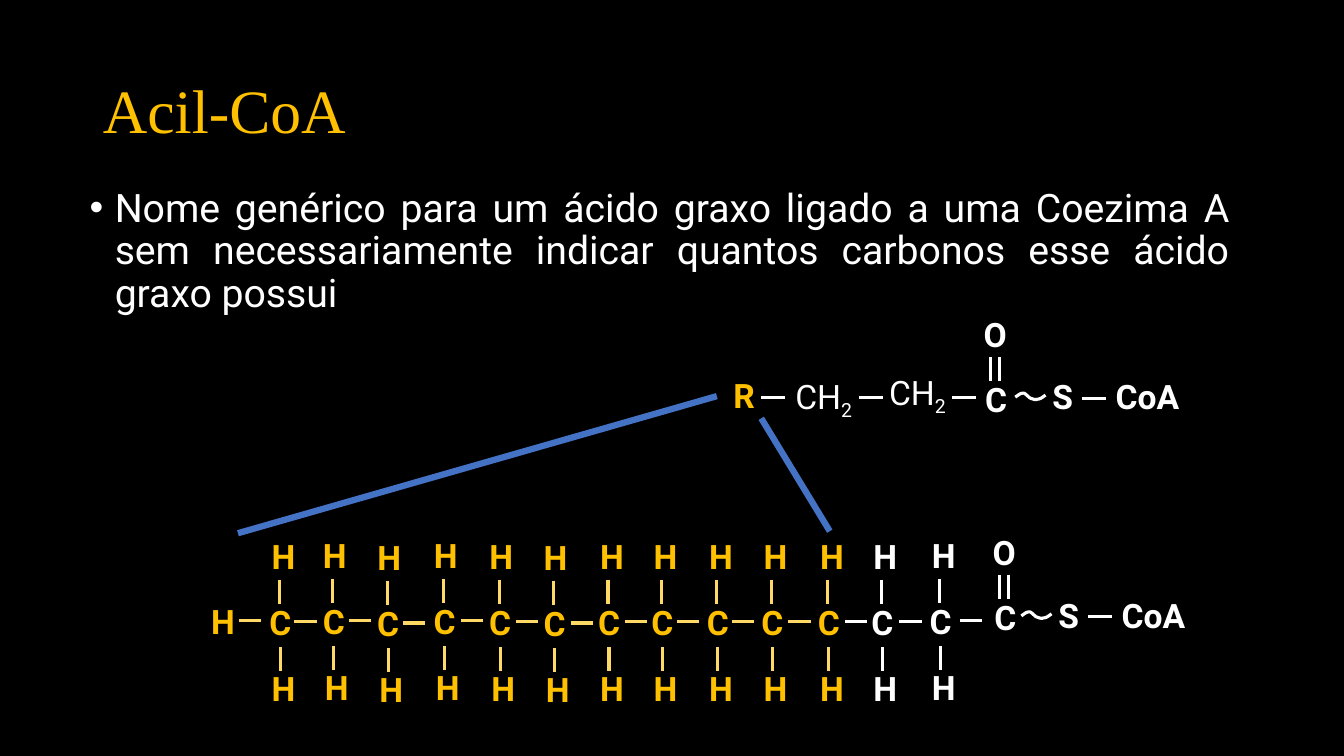
from dataclasses import dataclass

from lxml import etree
from pptx import Presentation
from pptx.dml.color import RGBColor
from pptx.enum import shapes, text
from pptx.oxml import ns
from pptx.util import Inches, Pt

WHITE, GOLD, PALE_GOLD, BLUE = "FFFFFF", "FFC000", "FFD966", "4472C4"
WIDTHS = {"H": 0.37, "C": 0.49, "O": 0.57, "R": 0.53, "S": 0.68, "CoA": 1.02}
BOND = 0.24  # length of a single bond
WAVE = [(0, 0.04), (0.03, 0.02), (0.05, 0), (0.08, 0), (0.1, 0), (0.13, 0.04),
        (0.15, 0.05), (0.18, 0.06), (0.2, 0.07), (0.22, 0.06), (0.25, 0.06),
        (0.27, 0.04), (0.3, 0.02)]


@dataclass
class Carbon:
    x: float  # centre
    y: float  # top of the letter's box
    bond_x: float  # start of the bond to the next carbon
    upper_dx: float = 0.0  # shift of the upper hydrogen
    color: str = GOLD


@dataclass
class Thioester:
    c_x: float
    c_y: float
    s_x: float
    s_y: float


CARBONS = [
    Carbon(2.78, 5.92, 2.92),
    Carbon(3.31, 5.91, 3.46, -0.02),
    Carbon(3.85, 5.93, 4.0, -0.02),
    Carbon(4.41, 5.91, 4.57, -0.02),
    Carbon(4.96, 5.92, 5.12, -0.02),
    Carbon(5.5, 5.93, 5.66, -0.02),
    Carbon(6.04, 5.92, 6.2),
    Carbon(6.57, 5.92, 6.71),
    Carbon(7.12, 5.92, 7.26),
    Carbon(7.66, 5.92, 7.82),
    Carbon(8.22, 5.92, 8.38),
    Carbon(8.75, 5.92, 8.92, 0, WHITE),
    Carbon(9.33, 5.91, 9.52, 0, WHITE),
]


def rgb(value: str) -> RGBColor:
    return RGBColor.from_string(value)


def add_run(p, value: str, color: str, size: float = 24, bold: bool = False,
            font: str = "Roboto"):
    r = p.add_run()
    r.text = value
    r.font.name, r.font.size, r.font.bold = font, Pt(size), bold
    r.font.color.rgb = rgb(color)
    return r


def add_box(canvas, x: float, y: float, w: float, h: float = 0.5, wrap: bool = True):
    sp = canvas.add_textbox(Inches(x), Inches(y), Inches(w), Inches(h))
    sp.text_frame.word_wrap = wrap
    return sp.text_frame


def add_atom(canvas, name: str, center: float, top: float, color: str = WHITE) -> None:
    tf = add_box(canvas, center - WIDTHS[name] / 2, top, WIDTHS[name])
    tf.auto_size = text.MSO_AUTO_SIZE.SHAPE_TO_FIT_TEXT
    p = tf.paragraphs[0]
    p.alignment = text.PP_ALIGN.CENTER
    add_run(p, name, color, bold=True)


def add_line(canvas, x1: float, y1: float, x2: float, y2: float,
             color: str = WHITE, width: float = 2.25) -> None:
    line = canvas.add_connector(shapes.MSO_CONNECTOR.STRAIGHT, Inches(x1), Inches(y1),
                                Inches(x2), Inches(y2))
    line.line.color.rgb = rgb(color)
    line.line.width = Pt(width)
    etree.SubElement(line._element.spPr, ns.qn("a:effectLst"))


def add_wave(canvas, x: float, y: float) -> None:
    """Draw the high-energy bond by sampling the cubic curves of WAVE."""
    points = []
    for i in range(0, len(WAVE) - 1, 3):
        for step in range(1, 9):
            t = step / 8
            weights = ((1 - t) ** 3, 3 * t * (1 - t) ** 2, 3 * t * t * (1 - t), t ** 3)
            px, py = (sum(w * q[k] for w, q in zip(weights, WAVE[i:i + 4])) for k in (0, 1))
            points.append((Inches(x + px), Inches(y + py)))
    builder = canvas.build_freeform(Inches(x + WAVE[0][0]), Inches(y + WAVE[0][1]))
    builder.add_line_segments(points, close=False)
    sp = builder.convert_to_shape()
    sp.shadow.inherit = False
    sp.fill.background()
    sp.line.color.rgb = rgb(WHITE)
    sp.line.width = Pt(2.25)


def add_thioester(canvas, end: Thioester) -> None:
    """Draw the O=C~S-CoA end of a chain."""
    for dx in (-0.06, 0.03):
        add_line(canvas, end.c_x + dx, end.c_y - 0.17, end.c_x + dx, end.c_y + 0.07)
    add_atom(canvas, "C", end.c_x, end.c_y)
    add_atom(canvas, "O", end.c_x - 0.01, end.c_y - 0.64)
    add_wave(canvas, end.s_x - 0.47, end.s_y + 0.22)
    add_atom(canvas, "S", end.s_x, end.s_y)
    add_line(canvas, end.s_x + 0.19, end.s_y + 0.27, end.s_x + 0.43, end.s_y + 0.27)
    add_atom(canvas, "CoA", end.s_x + 0.84, end.s_y)


def add_ch2(canvas, x: float, y: float) -> None:
    tf = add_box(canvas, x, y, 0.79, wrap=False)
    tf.auto_size = text.MSO_AUTO_SIZE.SHAPE_TO_FIT_TEXT
    p = tf.paragraphs[0]
    add_run(p, "CH", WHITE)
    r = add_run(p, "2", WHITE)
    r._r.get_or_add_rPr().set("baseline", "-25000")


def add_heading(s) -> None:
    title = s.shapes.title
    title.left, title.top = Inches(0.92), Inches(0.4)
    title.width, title.height = Inches(11.5), Inches(1.45)
    tf = title.text_frame
    tf.vertical_anchor = text.MSO_ANCHOR.MIDDLE
    p = tf.paragraphs[0]
    p.alignment = text.PP_ALIGN.LEFT
    p.line_spacing = 0.9
    add_run(p, "Acil-CoA", GOLD, 44, font="Times New Roman")


def add_definition(s) -> None:
    p = add_box(s.shapes, 0.79, 1.82, 11.5, 1.29).paragraphs[0]
    pPr = p._p.get_or_add_pPr()
    pPr.set("marL", str(Inches(0.25)))
    pPr.set("indent", str(Inches(-0.25)))
    etree.SubElement(pPr, ns.qn("a:buFont")).set("typeface", "Arial")
    etree.SubElement(pPr, ns.qn("a:buChar")).set("char", "•")
    p.alignment = text.PP_ALIGN.JUSTIFY
    p.line_spacing = 0.9
    add_run(p, "Nome genérico para um ácido graxo ligado a uma Coezima A sem "
               "necessariamente indicar quantos carbonos esse ácido graxo possui", WHITE, 28)


def add_short_formula(canvas) -> None:
    add_thioester(canvas, Thioester(9.88, 3.71, 10.54, 3.68))
    for x in (7.55, 8.52, 9.44):
        add_line(canvas, x, 3.94, x + BOND, 3.94)
    add_ch2(canvas, 8.72, 3.64)
    add_ch2(canvas, 7.79, 3.68)
    add_atom(canvas, "R", 7.38, 3.67, GOLD)
    add_line(canvas, 7.11, 3.93, 2.36, 5.29, BLUE, 4.5)
    add_line(canvas, 7.55, 4.15, 8.23, 5.27, BLUE, 4.5)


def add_full_chain(canvas) -> None:
    add_atom(canvas, "H", 2.18, 5.91, GOLD)
    add_line(canvas, 2.37, 6.16, 2.59, 6.16, PALE_GOLD)
    for c, following in zip(CARBONS, CARBONS[1:] + [None]):
        bond_color = PALE_GOLD if c.color == GOLD else WHITE
        next_color = PALE_GOLD if following and following.color == GOLD else WHITE
        add_atom(canvas, "C", c.x, c.y, c.color)
        add_atom(canvas, "H", c.x + c.upper_dx, c.y - 0.65, c.color)
        add_atom(canvas, "H", c.x, c.y + 0.66, c.color)
        add_line(canvas, c.x - 0.01, c.y - 0.17, c.x - 0.01, c.y + 0.07, bond_color)
        add_line(canvas, c.x, c.y + 0.5, c.x, c.y + 0.74, bond_color)
        add_line(canvas, c.bond_x, c.y + 0.25, c.bond_x + 0.22, c.y + 0.25, next_color)
    add_thioester(canvas, Thioester(9.97, 5.87, 10.6, 5.85))


def main() -> None:
    prs = Presentation()
    prs.slide_width, prs.slide_height = Inches(13.33), Inches(7.5)
    s = prs.slides.add_slide(prs.slide_layouts[5])
    s.background.fill.solid()
    s.background.fill.fore_color.rgb = rgb("000000")
    add_heading(s)
    add_definition(s)
    add_short_formula(s.shapes)
    add_full_chain(s.shapes.add_group_shape().shapes)
    prs.save("out.pptx")


if __name__ == "__main__":
    main()
